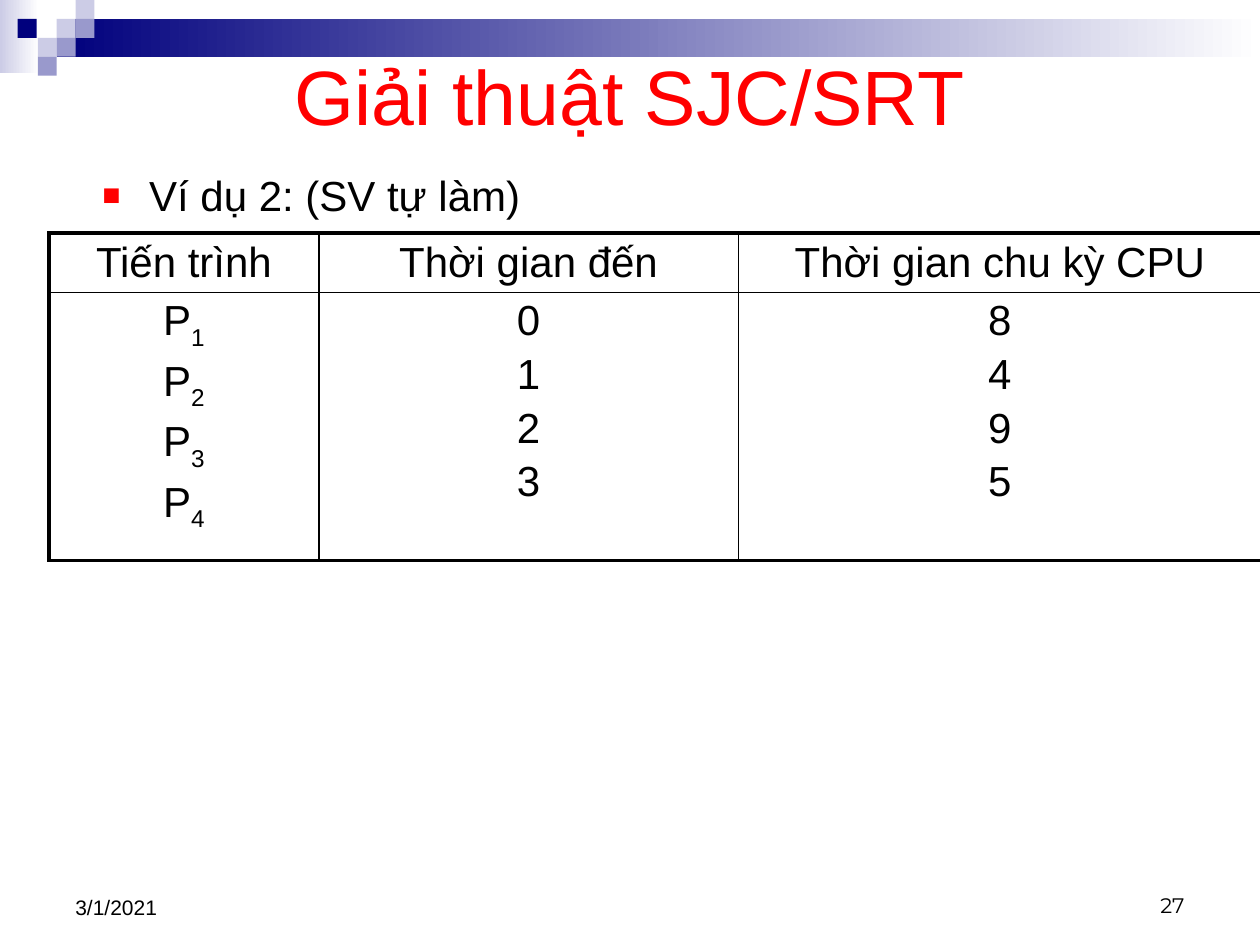
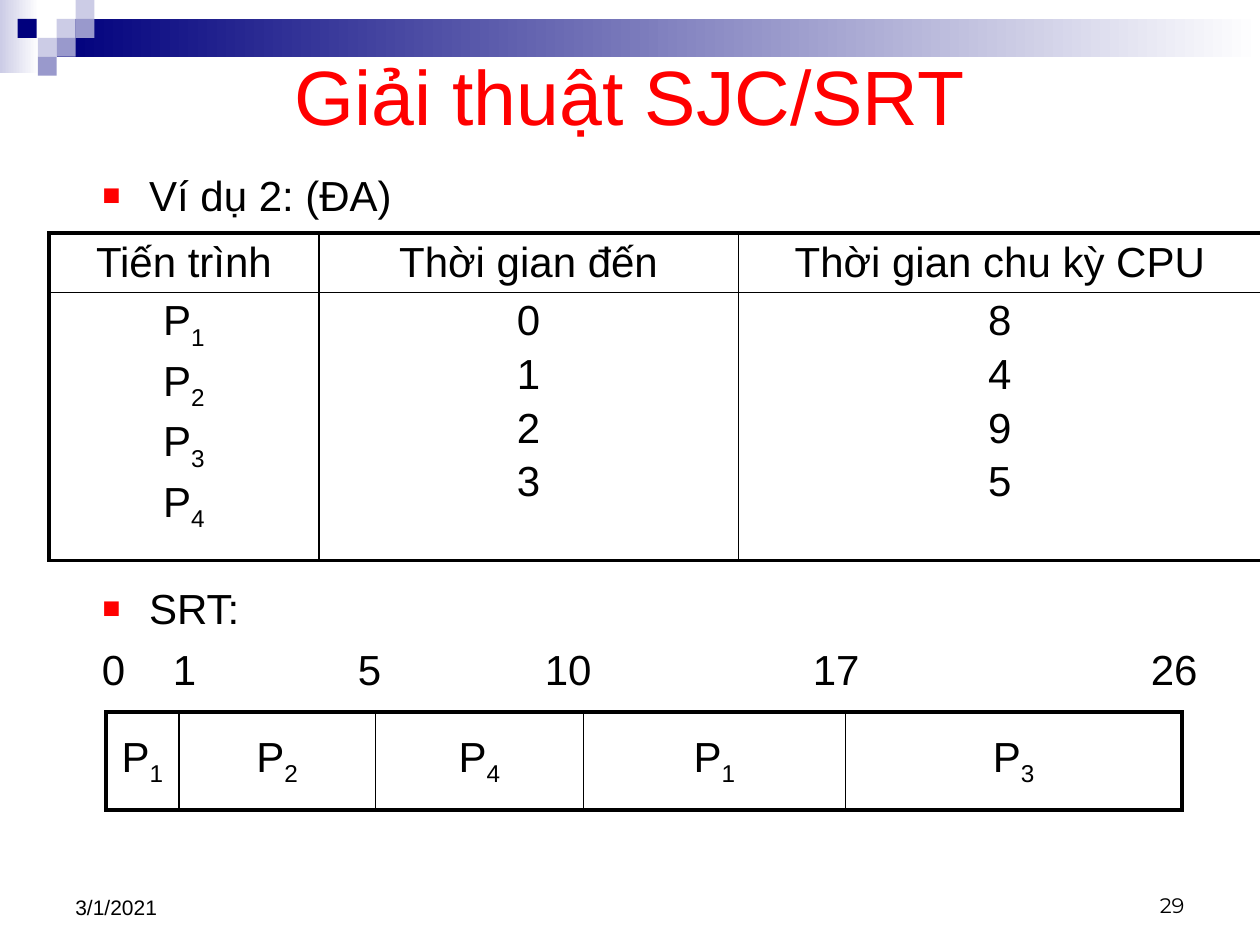
from lxml import etree
from pptx import Presentation
from pptx.dml.color import RGBColor
from pptx.enum.shapes import MSO_SHAPE
from pptx.enum.text import MSO_ANCHOR, MSO_AUTO_SIZE, PP_ALIGN
from pptx.oxml.ns import qn
from pptx.util import Pt

RECT = MSO_SHAPE.RECTANGLE
TOP, MIDDLE, BOTTOM = MSO_ANCHOR.TOP, MSO_ANCHOR.MIDDLE, MSO_ANCHOR.BOTTOM
LEFT, CENTER, RIGHT = PP_ALIGN.LEFT, PP_ALIGN.CENTER, PP_ALIGN.RIGHT
NO_FIT = MSO_AUTO_SIZE.NONE

COLORS = {
    "navy": "00007D",
    "violet": "9999CC",
    "lilac": "CCCCE6",
    "white": "FFFFFF",
    "red": "FF0000",
    "black": "000000",
}
FONT = "Arial"
NUMBER_FONT = "Montserrat"
TITLE = "Giải thuật SJC/SRT"
DATE = "3/1/2021"

TITLE_BOX = (36, 27.36, 648, 54)
BODY_BOX = (51.12, 90, 646.56, 380.88)
DATE_BOX = (36, 491.76, 167.76, 37.44)
NUMBER_BOX = (516.24, 491.76, 167.76, 36)
PROCESS_BOX = (28.08, 133.2)
GANTT_BOX = (60.48, 406.8)

GRADIENTS = [
    (0, 0, 22.32, 41.76, "lilac"),
    (32.4, 10.8, 687.6, 21.6, "navy"),
]
SQUARE = 10.8
SQUARES = [
    (32.4, 10.8, "lilac"),
    (43.2, 0, "lilac"),
    (43.2, 10.8, "violet"),
    (21.6, 21.6, "lilac"),
    (10.08, 10.8, "navy"),
    (32.4, 21.6, "violet"),
    (21.6, 32.4, "violet"),
]

PROCESS_ROWS = [
    [["Tiến trình"], ["Thời gian đến"], ["Thời gian chu kỳ CPU"]],
    [["P_1", "P_2", "P_3", "P_4"], ["0", "1", "2", "3"], ["8", "4", "9", "5"]],
]
PROCESS_COLS = [154.08, 239.76, 298.8]
PROCESS_HEIGHTS = [33.84, 153.36]
GANTT_ROWS = [[["P_1"], ["P_2"], ["P_4"], ["P_1"], ["P_3"]]]
GANTT_COLS = [41.76, 112.32, 118.8, 149.76, 192.24]
GANTT_HEIGHTS = [56.16]
TIMES = ["0", "1", "5", "10", "17", "26"]
TIME_TABS = [40.6, 146.3, 253.1, 406.3, 599.4]


def rgb(name):
    return RGBColor.from_string(COLORS[name])


def pts(*values):
    return [Pt(v) for v in values]


def sub(parent, tag, **attrs):
    el = etree.SubElement(parent, qn(tag))
    for key, value in attrs.items():
        el.set(key, str(value))
    return el


def style(p, size, color="black", align=LEFT, font=FONT):
    p.alignment = align
    p.font.size = Pt(size)
    p.font.name = font
    p.font.color.rgb = rgb(color)


def add_text(p, text):
    base, _, index = text.partition("_")
    p.add_run().text = base
    if index:
        r = p.add_run()
        r.text = index
        r._r.get_or_add_rPr().set("baseline", "-25000")


def add_textbox(s, box, anchor):
    tf = s.shapes.add_textbox(*pts(*box)).text_frame
    tf.word_wrap = True
    tf.auto_size = NO_FIT
    tf.vertical_anchor = anchor
    return tf


def add_bands(s):
    group = s.shapes.add_group_shape()

    def add_block(*box):
        sp = group.shapes.add_shape(RECT, *pts(*box))
        sp.shadow.inherit = False
        sp.line.fill.background()
        return sp

    for *box, color in GRADIENTS:
        fill = add_block(*box).fill
        fill.gradient()
        fill.gradient_angle = 0
        for stop, name in zip(fill.gradient_stops, (color, "white")):
            stop.color.rgb = rgb(name)
    for x, y, color in SQUARES:
        fill = add_block(x, y, SQUARE, SQUARE).fill
        fill.solid()
        fill.fore_color.rgb = rgb(color)
    s.shapes._spTree.insert(2, group._element)


def add_title(s, box):
    sp = s.shapes.title
    sp.left, sp.top, sp.width, sp.height = pts(*box)
    tf = sp.text_frame
    tf.text = TITLE
    tf.vertical_anchor = MIDDLE
    tf.auto_size = NO_FIT
    style(tf.paragraphs[0], 44, "red", CENTER)


def add_footer(s, number):
    for box, text, align, font in (
        (DATE_BOX, DATE, LEFT, FONT),
        (NUMBER_BOX, number, RIGHT, NUMBER_FONT),
    ):
        p = add_textbox(s, box, BOTTOM).paragraphs[0]
        p.text = text
        style(p, 12, align=align, font=font)


def set_bullet(p):
    pPr = p._p.get_or_add_pPr()
    pPr.set("marL", str(Pt(27)))
    pPr.set("indent", str(-Pt(27)))
    sub(sub(pPr, "a:buClr"), "a:srgbClr", val=COLORS["red"])
    sub(pPr, "a:buSzPct", val=140000)
    sub(pPr, "a:buFont", typeface=FONT)
    sub(pPr, "a:buChar", char="▪")


def set_tabs(p, stops):
    tabs = sub(p._p.get_or_add_pPr(), "a:tabLst")
    for stop in stops:
        sub(tabs, "a:tab", pos=Pt(stop), algn="l")


def add_body(s, box, example, with_timeline):
    tf = add_textbox(s, box, TOP)
    tf.margin_top = Pt(6.6)
    p = tf.paragraphs[0]
    p.text = example
    set_bullet(p)
    style(p, 24)
    if with_timeline:
        p = tf.add_paragraph()
        p.text = "SRT:"
        set_bullet(p)
        p.space_before = Pt(207.3)
        style(p, 24)
        p = tf.add_paragraph()
        p.add_run().text = "\t".join(TIMES)
        set_tabs(p, TIME_TABS)
        p.space_before = Pt(6)
        style(p, 24)


def set_borders(cell, outer_sides):
    tcPr = cell._tc.get_or_add_tcPr()
    for side, is_outer in zip("LRTB", outer_sides):
        ln = sub(tcPr, f"a:ln{side}", w=Pt(2.25 if is_outer else 1))
        sub(sub(ln, "a:solidFill"), "a:srgbClr", val=COLORS["black"])


def add_grid(s, origin, rows, widths, heights):
    box = (*origin, sum(widths), sum(heights))
    table = s.shapes.add_table(len(rows), len(widths), *pts(*box)).table
    table.first_row = table.horz_banding = False
    for column, width in zip(table.columns, widths):
        column.width = Pt(width)
    for row, height in zip(table.rows, heights):
        row.height = Pt(height)
    for i, row in enumerate(rows):
        for j, lines in enumerate(row):
            cell = table.cell(i, j)
            set_borders(cell, (j == 0, j == len(row) - 1, i == 0, i == len(rows) - 1))
            cell.fill.background()
            cell.margin_top = cell.margin_bottom = Pt(3)
            cell.vertical_anchor = MIDDLE if len(lines) == 1 else TOP
            tf = cell.text_frame
            for k, line in enumerate(lines):
                p = tf.add_paragraph() if k else tf.paragraphs[0]
                add_text(p, line)
                p.space_before = Pt(4 if k else 0)
                style(p, 24, align=CENTER)


def add_example_slide(prs, example, number, with_timeline=False):
    s = prs.slides.add_slide(prs.slide_layouts[5])
    add_bands(s)
    add_title(s, TITLE_BOX)
    add_body(s, BODY_BOX, example, with_timeline)
    add_grid(s, PROCESS_BOX, PROCESS_ROWS, PROCESS_COLS, PROCESS_HEIGHTS)
    add_footer(s, number)
    if with_timeline:
        add_grid(s, GANTT_BOX, GANTT_ROWS, GANTT_COLS, GANTT_HEIGHTS)


def main():
    prs = Presentation()
    prs.slide_width, prs.slide_height = Pt(720), Pt(540)
    add_example_slide(prs, "Ví dụ 2: (SV tự làm)", "27")
    add_example_slide(prs, "Ví dụ 2: (ĐA)", "29", with_timeline=True)
    prs.save("out.pptx")


if __name__ == "__main__":
    main()
